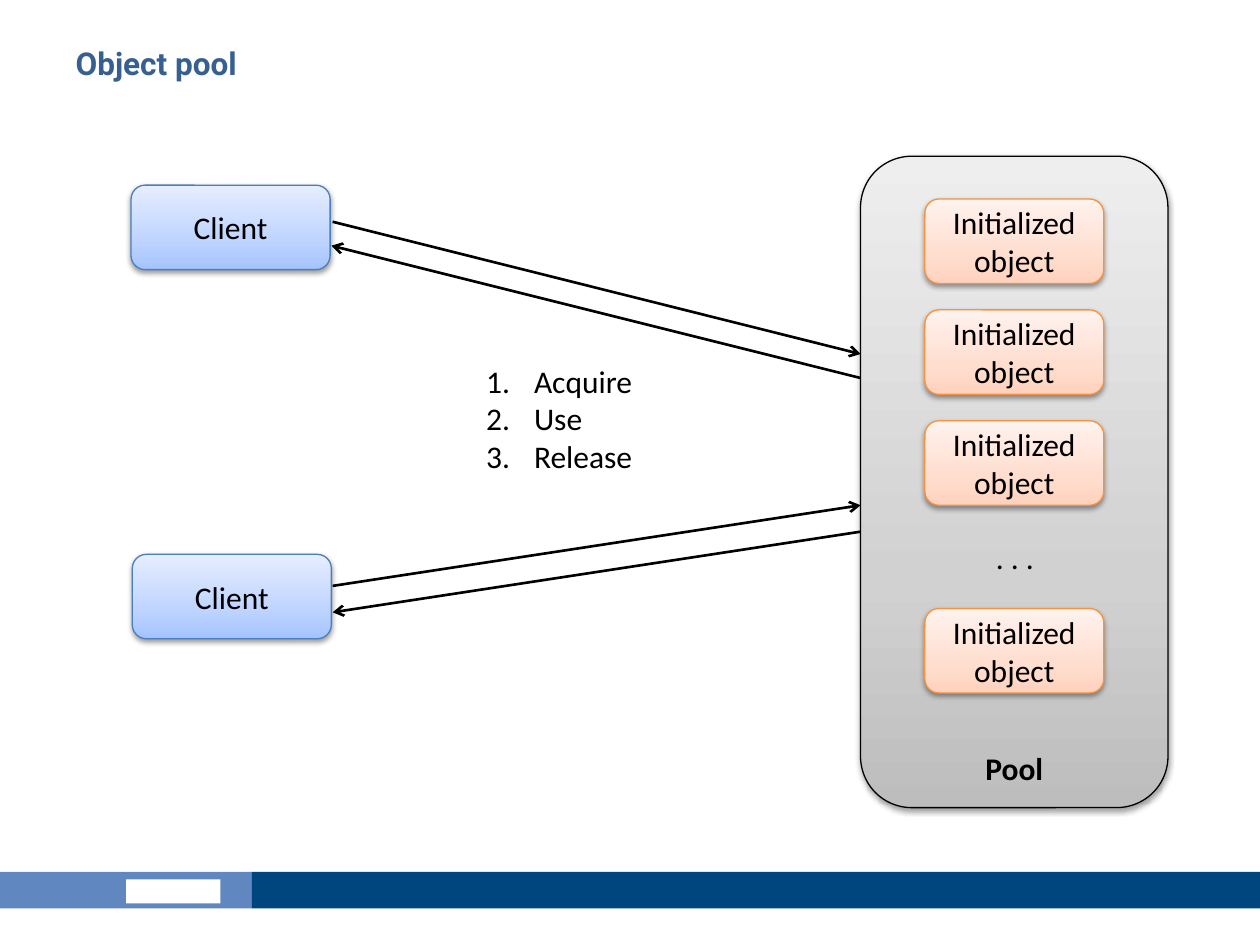
"""Build the Object pool slide: two clients exchanging objects with a pool."""
import lxml.etree
import pptx
import pptx.dml.color
import pptx.enum.shapes
import pptx.enum.text
import pptx.oxml
import pptx.oxml.ns
import pptx.util

PX = 9144
COLORS = {
    "black": "000000", "white": "FFFFFF", "title": "376092",
    "footer_light": "6087BF", "footer_dark": "00467E",
    "client_line": "4B7EBC", "object_line": "F69240",
}
GRADIENTS = {
    "pool": ("BDBDBD", "D1D1D1", "EEEEEE"),
    "client": ("A4C4FF", "BFD4FF", "E6EEFF"),
    "object": ("FFD2BD", "FFDED0", "FFF2ED"),
}
SHAPES = pptx.enum.shapes.MSO_SHAPE
ALIGN = pptx.enum.text.PP_ALIGN
ANCHOR = pptx.enum.text.MSO_ANCHOR
NAMESPACE = pptx.oxml.ns.nsdecls("a")
qn = pptx.oxml.ns.qn


def write_text(shape, text, font="Calibri", color="black", bold=False,
               align=ALIGN.CENTER, anchor=ANCHOR.MIDDLE):
    frame = shape.text_frame
    frame.word_wrap = True
    frame.vertical_anchor = anchor
    frame.text = text
    for paragraph in frame.paragraphs:
        paragraph.alignment = align
        for run in paragraph.runs:
            run.font.name = font
            run.font.size = pptx.util.Pt(18)
            run.font.bold = bold
            run.font.color.rgb = pptx.dml.color.RGBColor.from_string(COLORS[color])


def add_box(left, top, width, height, gradient, line):
    box = slide.shapes.add_shape(SHAPES.ROUNDED_RECTANGLE, left * PX, top * PX,
                                 width * PX, height * PX)
    box.line.color.rgb = pptx.dml.color.RGBColor.from_string(COLORS[line])
    box.line.width = pptx.util.Pt(0.75)
    stops = "".join(
        f'<a:gs pos="{position}"><a:srgbClr val="{color}"/></a:gs>'
        for position, color in zip((0, 35000, 100000), GRADIENTS[gradient]))
    properties = box._element.spPr
    properties.find(qn("a:prstGeom")).addnext(pptx.oxml.parse_xml(
        f'<a:gradFill {NAMESPACE} rotWithShape="1"><a:gsLst>{stops}</a:gsLst>'
        '<a:lin ang="16200000" scaled="0"/></a:gradFill>'))
    properties.append(pptx.oxml.parse_xml(
        f'<a:effectLst {NAMESPACE}><a:outerShdw blurRad="40000" dist="20000" '
        'dir="5400000" rotWithShape="0"><a:srgbClr val="000000">'
        '<a:alpha val="38000"/></a:srgbClr></a:outerShdw></a:effectLst>'))
    return box


presentation = pptx.Presentation()
presentation.slide_width = 1000 * PX
presentation.slide_height = 750 * PX
slide = presentation.slides.add_slide(presentation.slide_layouts[5])

title = slide.shapes.title
title.left, title.top, title.width, title.height = 50 * PX, 30 * PX, 900 * PX, 62 * PX
write_text(title, "Object pool", font="Roboto", color="title", bold=True,
           align=ALIGN.LEFT, anchor=ANCHOR.TOP)

for left, top, width, height, color in [
    (0, 692, 200, 29, "footer_light"),
    (200, 692, 800, 29, "footer_dark"),
    (100, 698, 75, 19, "white"),
]:
    bar = slide.shapes.add_shape(SHAPES.RECTANGLE, left * PX, top * PX,
                                 width * PX, height * PX)
    bar.shadow.inherit = False
    bar.fill.solid()
    bar.fill.fore_color.rgb = pptx.dml.color.RGBColor.from_string(COLORS[color])
    bar.line.fill.background()

pool = add_box(683, 124, 244, 517, "pool", "black")
write_text(pool, "Pool", bold=True, anchor=ANCHOR.BOTTOM)

for top in (158, 246, 334, 483):
    pooled_object = add_box(734, top, 142, 67, "object", "object_line")
    write_text(pooled_object, "Initialized object")

ellipsis = slide.shapes.add_textbox(768 * PX, 422 * PX, 75 * PX, 40 * PX)
write_text(ellipsis, ". . .", anchor=ANCHOR.TOP)

for left, top in ((104, 147), (105, 440)):
    client = add_box(left, top, 158, 67, "client", "client_line")
    write_text(client, "Client")

for start_x, start_y, end_x, end_y in [
    (264, 176, 683, 281),
    (683, 300, 263, 195),
    (264, 465, 683, 401),
    (683, 422, 264, 486),
]:
    arrow = slide.shapes.add_connector(
        pptx.enum.shapes.MSO_CONNECTOR.STRAIGHT,
        start_x * PX, start_y * PX, end_x * PX, end_y * PX)
    arrow.line.color.rgb = pptx.dml.color.RGBColor.from_string(COLORS["black"])
    arrow.line.width = pptx.util.Pt(1.5)
    lxml.etree.SubElement(arrow.line._get_or_add_ln(), qn("a:tailEnd"), type="arrow")
    lxml.etree.SubElement(arrow._element.spPr, qn("a:effectLst"))

steps = slide.shapes.add_textbox(376 * PX, 282 * PX, 158 * PX, 101 * PX)
write_text(steps, "Acquire\nUse\nRelease", align=ALIGN.LEFT, anchor=ANCHOR.TOP)
for paragraph in steps.text_frame.paragraphs:
    properties = paragraph._p.get_or_add_pPr()
    properties.set("marL", str(38 * PX))
    properties.set("indent", str(-38 * PX))
    lxml.etree.SubElement(properties, qn("a:buFont"), typeface="+mj-lt")
    lxml.etree.SubElement(properties, qn("a:buAutoNum"), type="arabicPeriod")

presentation.save("out.pptx")
